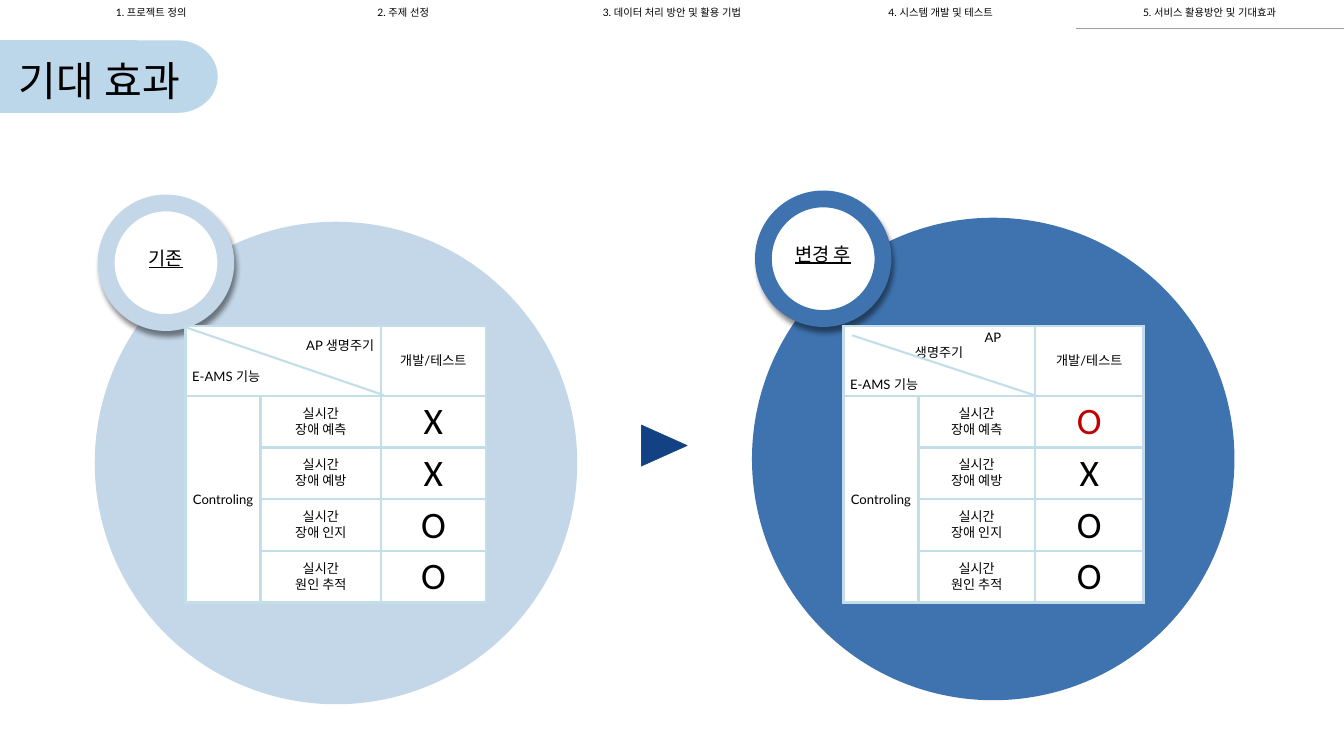
from lxml import etree
from pptx import Presentation
from pptx import util as u
from pptx.dml.color import RGBColor
from pptx.enum import shapes, text
from pptx.oxml.ns import qn

PX = 9144
WHITE = RGBColor(0xFF, 0xFF, 0xFF)
BLACK = RGBColor(0x00, 0x00, 0x00)
RED = RGBColor(0xC0, 0x00, 0x00)
GREY = RGBColor(0x9E, 0x9E, 0x9E)
TITLE_BLUE = RGBColor(0xBB, 0xD7, 0xE9)
PALE_BLUE = RGBColor(0xC3, 0xD7, 0xE8)
MID_BLUE = RGBColor(0x3F, 0x73, 0xAF)
ARROW_BLUE = RGBColor(0x12, 0x42, 0x84)
ARROW_EDGE = RGBColor(0x1F, 0x49, 0x7D)
GRID_BLUE = RGBColor(0xC2, 0xDE, 0xE9)

SHAPE = shapes.MSO_SHAPE
ALIGN = text.PP_ALIGN
ANCHOR = text.MSO_ANCHOR

STEPS = ["1. 프로젝트 정의", "2. 주제 선정", "3. 데이터 처리 방안 및 활용 기법",
         "4. 시스템 개발 및 테스트", "5. 서비스 활용방안 및 기대효과"]
FUNCTIONS = ["장애 예측", "장애 예방", "장애 인지", "원인 추적"]


def emu(*lengths):
    """Turn px lengths into EMU."""
    return [u.Emu(n * PX) for n in lengths]


def add_run(p, words, size, font="Lato", color=BLACK, underline=None):
    """Add one formatted run to a paragraph."""
    r = p.add_run()
    r.text = words
    r.font.size = u.Pt(size)
    r.font.name = font
    r.font.color.rgb = color
    r.font.underline = underline
    etree.SubElement(r.font._element, qn("a:ea")).set("typeface", font)


def add_shape(s, kind, box, fill, line=None, width=0):
    """Add a flat preset shape."""
    sp = s.shapes.add_shape(kind, *emu(*box))
    sp.shadow.inherit = False
    sp.fill.solid()
    sp.fill.fore_color.rgb = fill
    if line is None:
        sp.line.fill.background()
    else:
        sp.line.color.rgb = line
        sp.line.width = u.Pt(width)
    return sp


def add_shadow(sp):
    """Give a shape a soft shadow below it."""
    effects = sp._element.spPr.find(qn("a:effectLst"))
    shadow = etree.SubElement(effects, qn("a:outerShdw"), blurRad=str(u.Pt(5.6)),
                              dist=str(u.Pt(6)), dir=str(65 * 60000), rotWithShape="0")
    color = etree.SubElement(shadow, qn("a:srgbClr"), val=str(BLACK))
    etree.SubElement(color, qn("a:alpha"), val="45000")


def set_insets(frame, x, y):
    """Set equal side insets and equal top and bottom insets."""
    frame.margin_left = frame.margin_right = emu(x)[0]
    frame.margin_top = frame.margin_bottom = emu(y)[0]


def set_borders(cell, sides, color, width):
    """Draw the named sides of a cell, in L, R, T, B order."""
    tc_pr = cell._tc.get_or_add_tcPr()
    for i, side in enumerate(sides):
        ln = etree.Element(qn("a:ln" + side), w=str(u.Pt(width)))
        fill = etree.SubElement(ln, qn("a:solidFill"))
        etree.SubElement(fill, qn("a:srgbClr"), val=str(color))
        tc_pr.insert(i, ln)


def add_table(s, x, y, cols, rows):
    """Add a plain white table with the given column and row sizes."""
    frame = s.shapes.add_table(len(rows), len(cols), *emu(x, y, sum(cols), sum(rows)))
    table = frame.table
    table.first_row = table.horz_banding = False
    for col, width in zip(table.columns, cols):
        col.width = emu(width)[0]
    for row, height in zip(table.rows, rows):
        row.height = emu(height)[0]
    for cell in table.iter_cells():
        cell.fill.solid()
        cell.fill.fore_color.rgb = WHITE
    return table


def fill_cell(cell, lines, size=14, font="Lato", color=BLACK):
    """Write centred lines into a cell, one paragraph each."""
    tf = cell.text_frame
    for i, line in enumerate(lines):
        p = tf.add_paragraph() if i else tf.paragraphs[0]
        p.alignment = ALIGN.CENTER
        add_run(p, line, size, font, color)


def add_navigation(s, x, y, w, h):
    """Add the row of step names with the current step underlined."""
    table = add_table(s, x, y, [w // len(STEPS)] * len(STEPS), [h])
    for cell, step in zip(table.iter_cells(), STEPS):
        set_insets(cell, 10, 10)
        fill_cell(cell, [step], 11)
    first = table.cell(0, 0).text_frame.paragraphs[0]
    first._p.get_or_add_pPr().set("marL", str(50 * PX))
    set_borders(table.cell(0, len(STEPS) - 1), "B", GREY, 1.5)


def add_title(s, x, y, w, h):
    """Add the title tab with its rounded right end."""
    end = 120
    add_shape(s, SHAPE.FLOWCHART_DELAY, (x + w - end, y, end, h), TITLE_BLUE)
    add_shape(s, SHAPE.FLOWCHART_PROCESS, (x, y, w - end, h), TITLE_BLUE)
    sp = add_shape(s, SHAPE.RECTANGLE, (x, y + 12, w - 46, h - 24), TITLE_BLUE)
    tf = sp.text_frame
    tf.word_wrap = True
    tf.vertical_anchor = ANCHOR.MIDDLE
    set_insets(tf, 10, 5)
    p = tf.paragraphs[0]
    p.alignment = ALIGN.RIGHT
    p.line_spacing = 1.15
    add_run(p, "기대 효과", 44)


def add_circle(s, x, y, label, color):
    """Add a large disc with a labelled badge at its upper left."""
    add_shape(s, SHAPE.OVAL, (x, y + 28, 718, 718), color)
    add_shadow(add_shape(s, SHAPE.OVAL, (x + 17, y, 178, 178), WHITE, color, 18))
    tf = s.shapes.add_textbox(*emu(x + 8, y + 53, 196, 72)).text_frame
    tf.word_wrap = True
    set_insets(tf, 7, 4)
    p = tf.paragraphs[0]
    p.alignment = ALIGN.CENTER
    p.line_spacing = 1.25
    add_run(p, label, 20, "Calibri", underline=True)


def add_matrix(s, x, y, cols, marks, heading, diagonal):
    """Add the table of functions by life cycle with its split corner cell."""
    table = add_table(s, x, y, cols, [104] + [77] * len(marks))
    for cell in table.iter_cells():
        cell.vertical_anchor = ANCHOR.MIDDLE
        set_insets(cell, 10, 5)
        set_borders(cell, "LRTB", GRID_BLUE, 3)
    corner, side = table.cell(0, 0), table.cell(1, 0)
    corner.merge(table.cell(0, 1))
    side.merge(table.cell(len(marks), 0))
    fill_cell(corner, heading + ["E-AMS 기능"])
    first, last = corner.text_frame.paragraphs[0], corner.text_frame.paragraphs[-1]
    if len(heading) == 1:
        first.alignment = ALIGN.RIGHT
    else:
        first._p.get_or_add_pPr().set("marL", str(160 * PX))
    last.alignment = ALIGN.LEFT
    last.space_before = u.Pt(17)
    fill_cell(table.cell(0, 2), ["개발/테스트"])
    fill_cell(side, ["Controling"])
    for i, (name, (mark, color)) in enumerate(zip(FUNCTIONS, marks), 1):
        fill_cell(table.cell(i, 1), ["실시간", name], font="Calibri")
        fill_cell(table.cell(i, 2), [mark], 40, "Calibri", color)
    x1, y1, x2, y2 = diagonal
    line = s.shapes.add_connector(shapes.MSO_CONNECTOR.STRAIGHT,
                                  *emu(x + x1, y + y1, x + x2, y + y2))
    line.line.color.rgb = GRID_BLUE
    line.line.width = u.Pt(2.25)
    etree.SubElement(line._element.spPr, qn("a:effectLst"))


def add_arrow(s, x, y, w, h):
    """Add the triangle that points from before to after."""
    sp = add_shape(s, SHAPE.FLOWCHART_EXTRACT, (x, y, w, h), ARROW_BLUE, ARROW_EDGE, 0.75)
    sp.rotation = 90


def main():
    """Build the slide and save it."""
    prs = Presentation()
    prs.slide_width, prs.slide_height = emu(2000, 1125)
    s = prs.slides.add_slide(prs.slide_layouts[6])
    no, yes, new = ("X", BLACK), ("O", BLACK), ("O", RED)
    add_circle(s, 1119, 296, "변경 후", MID_BLUE)
    add_arrow(s, 958, 629, 61, 68)
    add_matrix(s, 1255, 485, [112, 173, 162], [new, no, yes, yes],
               ["AP", "생명주기"], (13, 14, 284, 103))
    add_circle(s, 141, 302, "기존", PALE_BLUE)
    add_navigation(s, 0, 0, 2000, 42)
    add_title(s, 0, 60, 324, 108)
    add_matrix(s, 276, 485, [112, 179, 156], [no, no, yes, yes],
               ["AP 생명주기"], (0, 2, 295, 103))
    prs.save("out.pptx")


if __name__ == "__main__":
    main()
